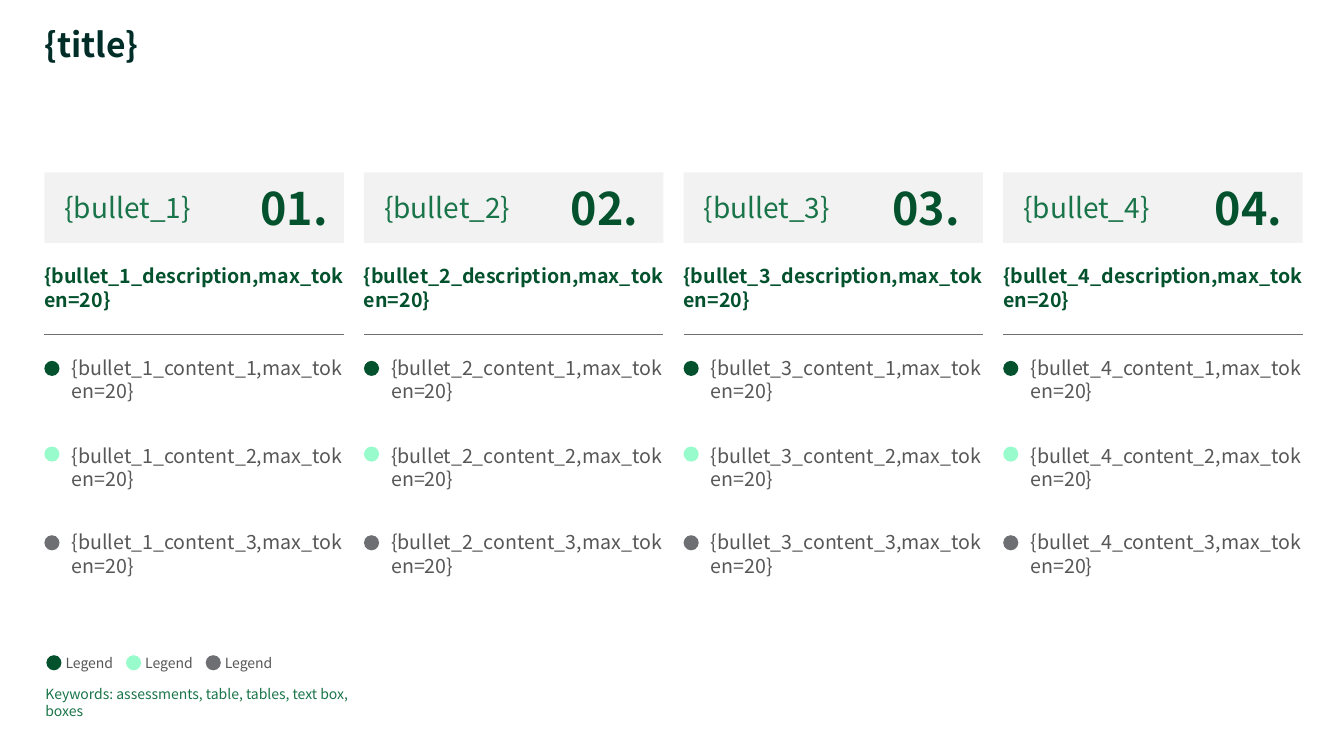
from pptx import Presentation
from pptx.dml.color import RGBColor
from pptx.enum.shapes import MSO_CONNECTOR as LINE, MSO_SHAPE as SHAPE
from pptx.enum.text import MSO_ANCHOR as ANCHOR, PP_ALIGN as ALIGN
from pptx.oxml.ns import qn
from pptx.util import Inches, Pt
from lxml import etree

FONT = "Noto Sans CJK JP"
COLORS = {
    "title": "002D28", "dark": "03522D", "green": "1A7449", "mint": "98FBCC",
    "gray": "6E6F73", "text": "575757", "panel": "F2F2F2",
}


def write(shape, text, size=14, color="text", bold=False, align=ALIGN.LEFT,
          anchor=ANCHOR.TOP, insets=(0, 0, 0, 0), wrap=True, after=0, spacing=1.0):
    frame = shape.text_frame
    frame.word_wrap = wrap
    frame.vertical_anchor = anchor
    frame.margin_left, frame.margin_top, frame.margin_right, frame.margin_bottom = map(Inches, insets)
    paragraph = frame.paragraphs[0]
    paragraph.alignment = align
    paragraph.line_spacing = spacing
    paragraph.space_before, paragraph.space_after = Pt(0), Pt(after)
    run = paragraph.add_run()
    run.text = text
    run.font.name, run.font.size, run.font.bold = FONT, Pt(size), bold
    run.font.color.rgb = RGBColor.from_string(COLORS[color])


def add_filled(shapes, kind, left, top, width, height, color):
    shape = shapes.add_shape(kind, Inches(left), Inches(top), Inches(width), Inches(height))
    shape.shadow.inherit = False
    shape.fill.solid()
    shape.fill.fore_color.rgb = RGBColor.from_string(COLORS[color])
    shape.line.fill.background()
    return shape


prs = Presentation()
prs.slide_width, prs.slide_height = Inches(13.33), Inches(7.5)
slide = prs.slides.add_slide(prs.slide_layouts[5])
shapes = slide.shapes

# Title
title = shapes.title
title.left, title.top, title.width, title.height = map(Inches, (0.44, 0.28, 11.03, 0.37))
write(title, "{title}", size=24, color="title", bold=True, spacing=0.9)

# Legend
dot_size = 0.15
ratings = ["dark", "mint", "gray"]
for i, rating in enumerate(ratings):
    left = 0.46 + i * 0.79
    legend = shapes.add_group_shape()
    add_filled(legend.shapes, SHAPE.OVAL, left, 6.5, dot_size, dot_size, rating)
    label = legend.shapes.add_textbox(Inches(left + 0.19), Inches(6.49), Inches(0.55), Inches(0.17))
    write(label, "Legend", size=10, anchor=ANCHOR.MIDDLE, after=6)

# Four columns
column_width, column_pitch = 2.97, 3.17
number_lefts = [2.28, 5.36, 8.55, 11.75]
content_tops = [3.53, 4.4, 5.26]
dot_tops = [3.58, 4.43, 5.31]
for n, number_left in enumerate(number_lefts, start=1):
    left = 0.44 + (n - 1) * column_pitch

    # Header with number
    header = add_filled(shapes, SHAPE.RECTANGLE, left, 1.71, column_width, 0.7, "panel")
    write(header, f"{{bullet_{n}}}", size=20, color="green", anchor=ANCHOR.MIDDLE,
          insets=(0.2, 0.08, 0.24, 0.08))
    number = shapes.add_textbox(Inches(number_left), Inches(1.79), Inches(0.97), Inches(0.54))
    write(number, f"{n:02}.", size=32, color="dark", bold=True, align=ALIGN.RIGHT,
          anchor=ANCHOR.MIDDLE)

    # Description and divider
    description = shapes.add_textbox(Inches(left), Inches(2.62), Inches(column_width), Inches(0.47))
    write(description, f"{{bullet_{n}_description,max_token=20}}", color="dark", bold=True)
    divider = shapes.add_connector(LINE.STRAIGHT, Inches(left), Inches(3.32),
                                   Inches(left + column_width), Inches(3.32))
    divider.line.color.rgb = RGBColor.from_string(COLORS["gray"])
    divider.line.width = Pt(0.5)
    etree.SubElement(divider.element.spPr, qn("a:effectLst"))

    # Rated contents
    for row, (rating, dot_top, content_top) in enumerate(zip(ratings, dot_tops, content_tops), start=1):
        add_filled(shapes, SHAPE.OVAL, left, dot_top, dot_size, dot_size, rating)
        content = shapes.add_textbox(Inches(left + 0.27), Inches(content_top), Inches(2.71), Inches(0.47))
        write(content, f"{{bullet_{n}_content_{row},max_token=20}}")

# Keywords
keywords = shapes.add_textbox(Inches(0.45), Inches(6.8), Inches(3.35), Inches(0.34))
write(keywords, "Keywords: assessments, table, tables, text box, boxes",
      size=10, color="green", after=1.1)

prs.save("out.pptx")
